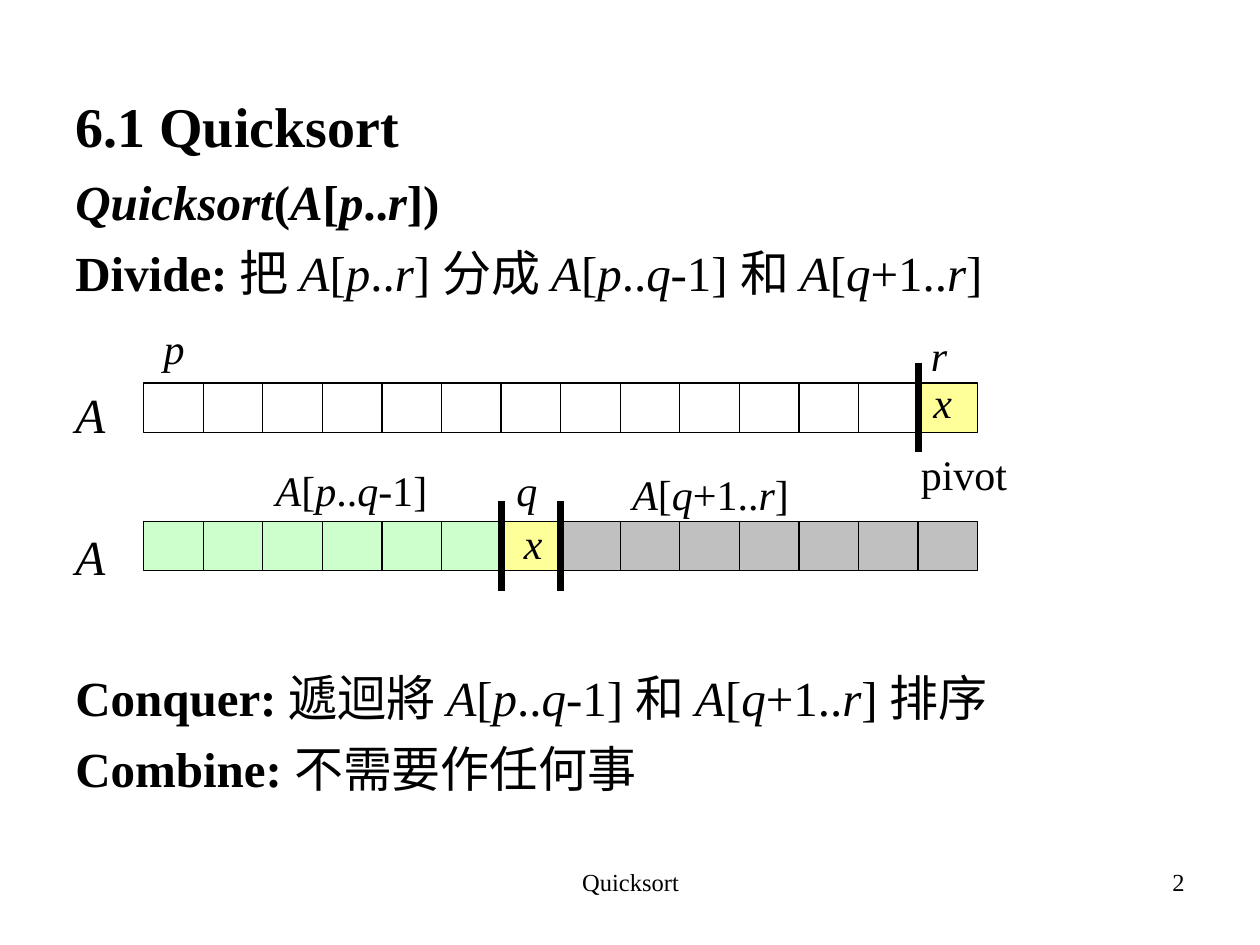
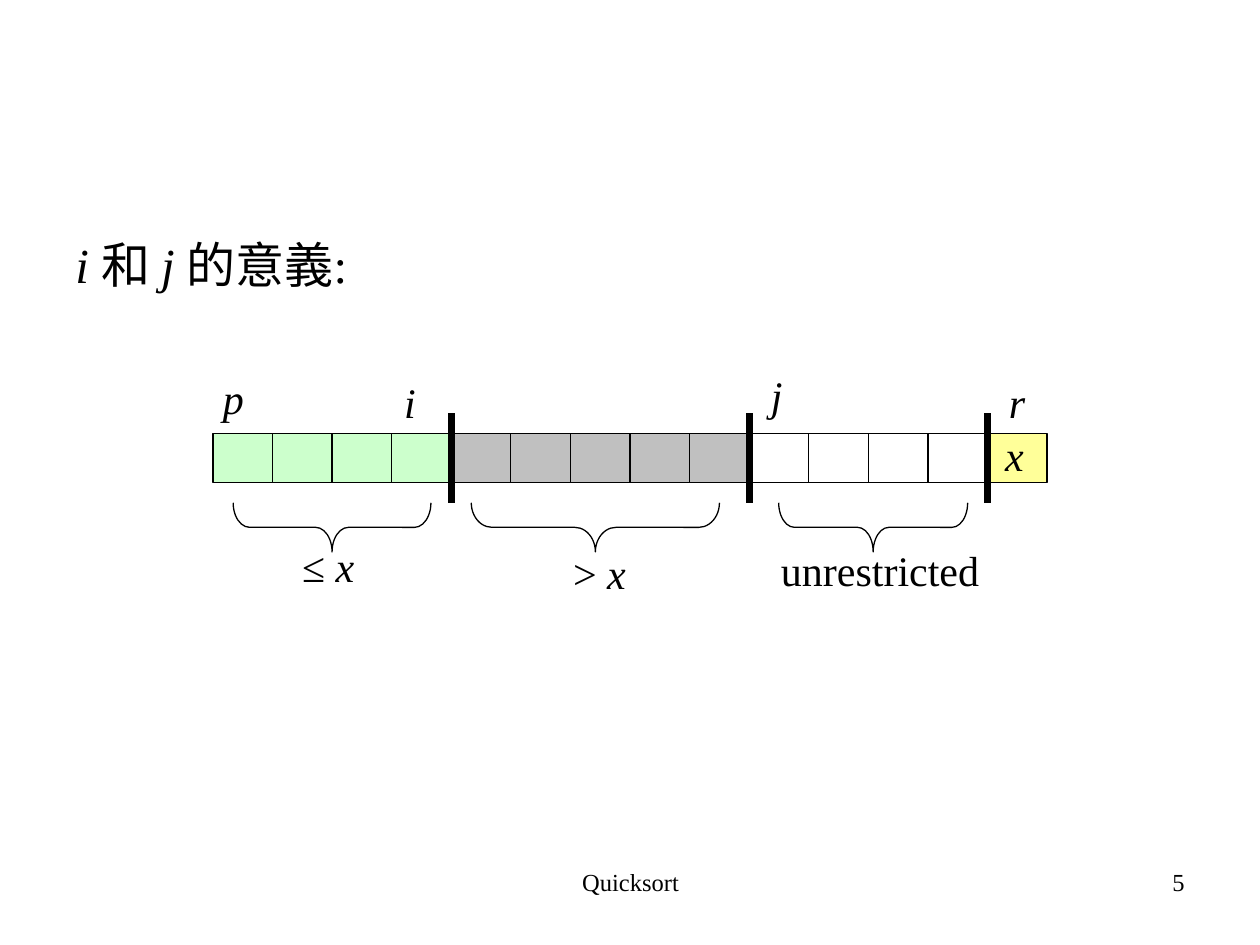
from lxml import etree
from pptx import Presentation
from pptx.dml.color import RGBColor
from pptx.enum import shapes, text
from pptx.oxml.ns import qn
from pptx.util import Inches, Pt

FONT = "Times New Roman"
BLACK, GREEN, GREY, YELLOW, OPEN = "000000", "CCFFCC", "C0C0C0", "FFFF99", None
CELLS = 14
CELL_WIDTH = 6.62 / CELLS
CELL_HEIGHT = 0.39
LABEL_HEIGHT = 0.5
BRACE_DEPTH = 0.39


def color(hex_string):
    return RGBColor.from_string(hex_string)


def add_text(slide, lines, left, top, width, height=LABEL_HEIGHT, size=24,
             bold=False, align=text.PP_ALIGN.LEFT, wrap=False):
    """Write lines in which _x_ is italic and anything before | is bold."""
    box = slide.shapes.add_textbox(Inches(left), Inches(top), Inches(width), Inches(height))
    frame = box.text_frame
    frame.word_wrap = wrap
    for number, line in enumerate(lines):
        paragraph = frame.paragraphs[0] if number == 0 else frame.add_paragraph()
        paragraph.alignment = align
        if number:
            paragraph.space_before = Pt(7)
        lead, bar, rest = line.rpartition("|")
        for part, heavy in ((lead, True), (rest, bold)):
            for position, piece in enumerate(part.split("_")):
                if not piece:
                    continue
                run = paragraph.add_run()
                run.text = piece
                run.font.size = Pt(size)
                run.font.name = FONT
                run.font.bold = heavy
                run.font.italic = position % 2 == 1
                run.font.color.rgb = color(BLACK)


prs = Presentation()
prs.slide_width, prs.slide_height = Inches(10), Inches(7.5)
blank = prs.slide_layouts[6]
partition_slide = prs.slides.add_slide(blank)
meaning_slide = prs.slides.add_slide(blank)

# Footers
for slide, page in ((partition_slide, "2"), (meaning_slide, "5")):
    add_text(slide, ["Quicksort"], 3.42, 6.83, 3.17, 0.52, 14,
             align=text.PP_ALIGN.CENTER, wrap=True)
    add_text(slide, [page], 7.17, 6.83, 2.33, 0.52, 14,
             align=text.PP_ALIGN.RIGHT, wrap=True)

# Heading and body text
add_text(partition_slide, ["6.1 Quicksort"], 0.5, 0.68, 9, 0.6, 32, bold=True, wrap=True)
body_texts = [
    (partition_slide, 1.31, ["_Quicksort_(_A_[_p_.._r_])|",
                             "Divide: |把 _A_[_p_.._r_] 分成 _A_[_p_.._q_-1] 和 _A_[_q_+1.._r_]"]),
    (partition_slide, 3, ["_A_"]),
    (partition_slide, 4.13, ["_A_"]),
    (partition_slide, 5.25, ["Conquer: |遞迴將 _A_[_p_.._q_-1] 和 _A_[_q_+1.._r_] 排序",
                             "Combine: |不需要作任何事"]),
    (meaning_slide, 1.81, ["_i _和 _j _的意義:"]),
]
for slide, top, lines in body_texts:
    add_text(slide, lines, 0.5, top, 0.6 if lines == ["_A_"] else 9,
             0.55 * len(lines), 28, wrap=True)

# Arrays: runs of equal cells, with a thick divider between runs
arrays = [
    (partition_slide, 1.14, 3.04, [(OPEN, 13), (YELLOW, 1)]),
    (partition_slide, 1.14, 4.14, [(GREEN, 6), (YELLOW, 1), (GREY, 7)]),
    (meaning_slide, 1.69, 3.44, [(GREEN, 4), (GREY, 5), (OPEN, 4), (YELLOW, 1)]),
]
for slide, left, top, regions in arrays:
    cell_fills = [fill for fill, count in regions for _ in range(count)]
    for index, fill in enumerate(cell_fills):
        cell = slide.shapes.add_shape(
            shapes.MSO_SHAPE.RECTANGLE, Inches(left + index * CELL_WIDTH), Inches(top),
            Inches(CELL_WIDTH), Inches(CELL_HEIGHT))
        cell.shadow.inherit = False
        cell.line.color.rgb = color(BLACK)
        cell.line.width = Pt(0.75)
        if fill is OPEN:
            cell.fill.background()
        else:
            cell.fill.solid()
            cell.fill.fore_color.rgb = color(fill)
    for index in range(1, CELLS):
        if cell_fills[index] == cell_fills[index - 1]:
            continue
        x = Inches(left + index * CELL_WIDTH)
        divider = slide.shapes.add_connector(
            shapes.MSO_CONNECTOR.STRAIGHT, x, Inches(top - 0.16), x, Inches(top + 0.55))
        divider.line.color.rgb = color(BLACK)
        divider.line.width = Pt(4)
        etree.SubElement(divider._element.spPr, qn("a:effectLst"))

# Braces under the regions
for left, length in ((1.85, 1.57), (3.74, 1.97), (6.18, 1.5)):
    brace = meaning_slide.shapes.add_shape(
        shapes.MSO_SHAPE.RIGHT_BRACE, Inches(left + (length - BRACE_DEPTH) / 2),
        Inches(3.99 - (length - BRACE_DEPTH) / 2), Inches(BRACE_DEPTH), Inches(length))
    brace.rotation = 90
    brace.adjustments[0] = length / 12 / BRACE_DEPTH
    brace.shadow.inherit = False
    brace.fill.background()
    brace.line.color.rgb = color(BLACK)
    brace.line.width = Pt(0.75)

# Index, pivot and region labels, wide enough to stay on one line
labels = [
    (partition_slide, "_p_", 1.2, 2.51, 0.4),
    (partition_slide, "_r_", 7.29, 2.57, 0.4),
    (partition_slide, "_x_", 7.31, 2.94, 0.4),
    (partition_slide, "pivot", 7.21, 3.51, 1),
    (partition_slide, "_x_", 4.06, 4.06, 0.4),
    (partition_slide, "_A_[_p_.._q_-1]", 2.09, 3.64, 1.5),
    (partition_slide, "_A_[_q_+1.._r_]", 4.92, 3.67, 1.5),
    (partition_slide, "_q_", 4, 3.64, 0.4),
    (meaning_slide, "_p_", 1.67, 2.91, 0.4),
    (meaning_slide, "_i_", 3.11, 2.94, 0.4),
    (meaning_slide, "_j_", 6.02, 2.88, 0.4),
    (meaning_slide, "_r_", 7.91, 2.94, 0.4),
    (meaning_slide, "_x_", 7.88, 3.36, 0.4),
    (meaning_slide, "≤ _x_", 2.3, 4.24, 0.7),
    (meaning_slide, "> _x_", 4.45, 4.3, 0.7),
    (meaning_slide, "unrestricted", 6.1, 4.27, 1.9),
]
for slide, label, left, top, width in labels:
    add_text(slide, [label], left, top, width, wrap=True)

prs.save("out.pptx")
